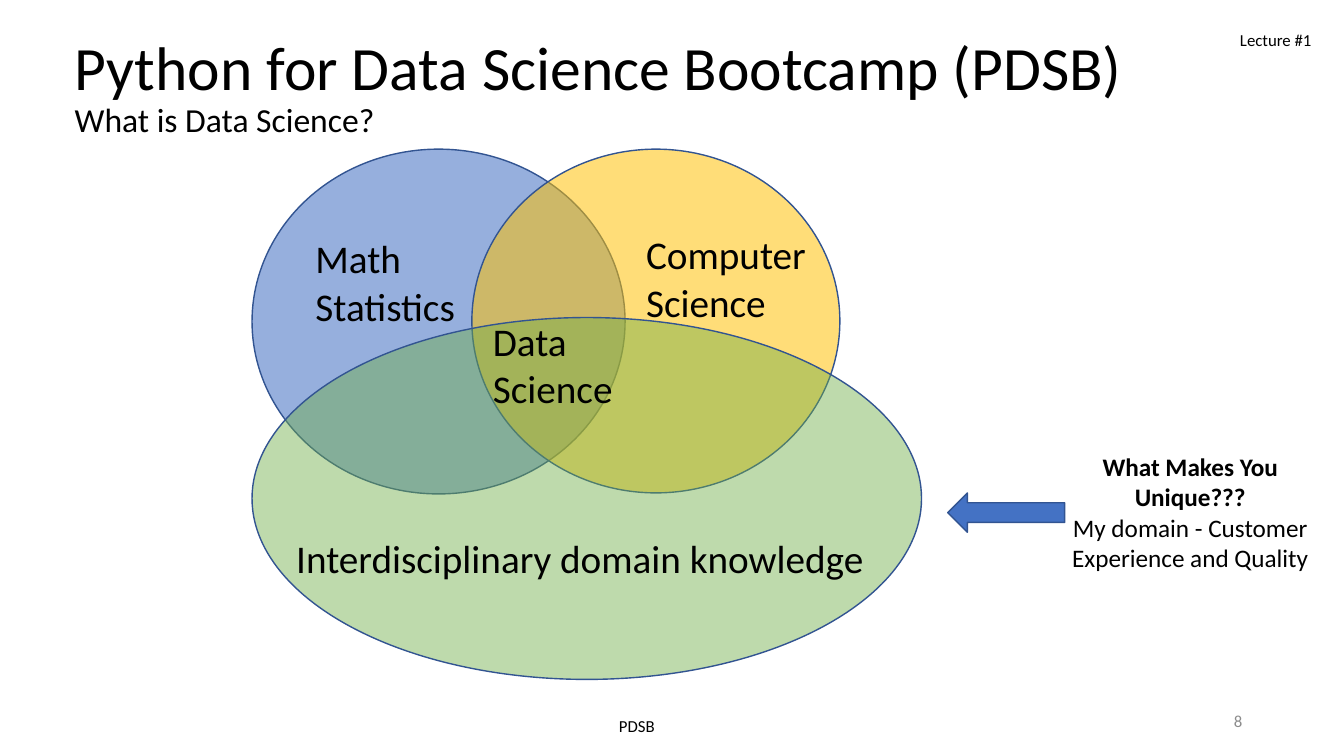
from pptx import Presentation
from pptx.dml.color import RGBColor
from pptx.enum.shapes import MSO_SHAPE as Shape
from pptx.enum.text import MSO_ANCHOR as Anchor, MSO_AUTO_SIZE as AutoSize, PP_ALIGN as Align
from pptx.oxml.ns import qn
from pptx.util import Inches, Pt
from lxml.etree import SubElement

BLACK = RGBColor(0x00, 0x00, 0x00)
GRAY = RGBColor(0x8C, 0x8C, 0x8C)
BLUE = RGBColor(0x44, 0x72, 0xC4)
GOLD = RGBColor(0xFF, 0xC0, 0x00)
GREEN = RGBColor(0x70, 0xAD, 0x47)
OUTLINE = RGBColor(0x32, 0x54, 0x91)


class VennSlide:
    """Hold the slide and its style, and add each kind of element."""

    font_name = "Calibri"

    def __init__(self, presentation):
        self.slide = presentation.slides.add_slide(presentation.slide_layouts[5])

    def style(self, font, size, color=BLACK, bold=False):
        font.name = self.font_name
        font.size = Pt(size)
        font.color.rgb = color
        font.bold = bold

    def title(self, box, heading, question):
        title = self.slide.shapes.title
        title.left, title.top, title.width, title.height = map(Inches, box)
        frame = title.text_frame
        frame.auto_size = AutoSize.NONE
        frame.vertical_anchor = Anchor.TOP
        frame.word_wrap = True
        paragraph = frame.paragraphs[0]
        paragraph.alignment = Align.LEFT
        paragraph.line_spacing = 0.9
        for text, size in ((heading, 44), (question, 24)):
            if paragraph.runs:
                paragraph.add_line_break()
            run = paragraph.add_run()
            run.text = text
            self.style(run.font, size)

    def shape(self, kind, box, color, opacity=100):
        shape = self.slide.shapes.add_shape(kind, *map(Inches, box))
        shape.shadow.inherit = False
        shape.fill.solid()
        shape.fill.fore_color.rgb = color
        shape.line.color.rgb = OUTLINE
        shape.line.width = Pt(1)
        if opacity < 100:
            srgb = shape.fill._xPr.find(qn("a:solidFill")).find(qn("a:srgbClr"))
            SubElement(srgb, qn("a:alpha")).set("val", str(opacity * 1000))

    def text(self, box, lines, size, color=BLACK, align=Align.LEFT,
             anchor=Anchor.TOP, bold_first=False):
        frame = self.slide.shapes.add_textbox(*map(Inches, box)).text_frame
        frame.word_wrap = True
        frame.vertical_anchor = anchor
        for index, line in enumerate(lines):
            paragraph = frame.add_paragraph() if index else frame.paragraphs[0]
            paragraph.text = line
            paragraph.alignment = align
            self.style(paragraph.font, size, color, bold_first and index == 0)


def main():
    presentation = Presentation()
    presentation.slide_width = Inches(13.33)
    presentation.slide_height = Inches(7.5)
    venn = VennSlide(presentation)

    venn.title((0.64, 0.32, 11.6, 0.6),
               "Python for Data Science Bootcamp (PDSB)", "What is Data Science?")

    for circle, color, opacity in (
        ((2.5, 1.48, 3.7, 3.42), BLUE, 56),
        ((4.68, 1.48, 3.65, 3.41), GOLD, 53),
        ((2.5, 3.15, 6.64, 3.59), GREEN, 45),
    ):
        venn.shape(Shape.OVAL, circle, color, opacity)

    for box, lines in (
        ((3.03, 2.28, 1.65, 1.04), ("Math", "Statistics")),
        ((6.31, 2.24, 1.91, 1.04), ("Computer Science",)),
        ((2.84, 5.25, 5.97, 0.57), ("Interdisciplinary domain knowledge",)),
        ((4.79, 3.1, 1.52, 1.04), ("Data Science",)),
    ):
        venn.text(box, lines, 28)

    venn.shape(Shape.LEFT_ARROW, (9.4, 4.89, 1.16, 0.39), BLUE)
    venn.text((10.51, 4.43, 2.59, 1.31),
              ("What Makes You Unique???", "My domain - Customer Experience and Quality"),
              18, align=Align.CENTER, bold_first=True)

    venn.text((9.42, 6.95, 3, 0.4), ("8",), 12, GRAY, Align.RIGHT, Anchor.MIDDLE)
    venn.text((6.04, 7.05, 0.8, 0.3), ("PDSB",), 12)
    venn.text((12.2, 0.25, 0.95, 0.3), ("Lecture #1",), 12)

    presentation.save("out.pptx")


if __name__ == "__main__":
    main()
